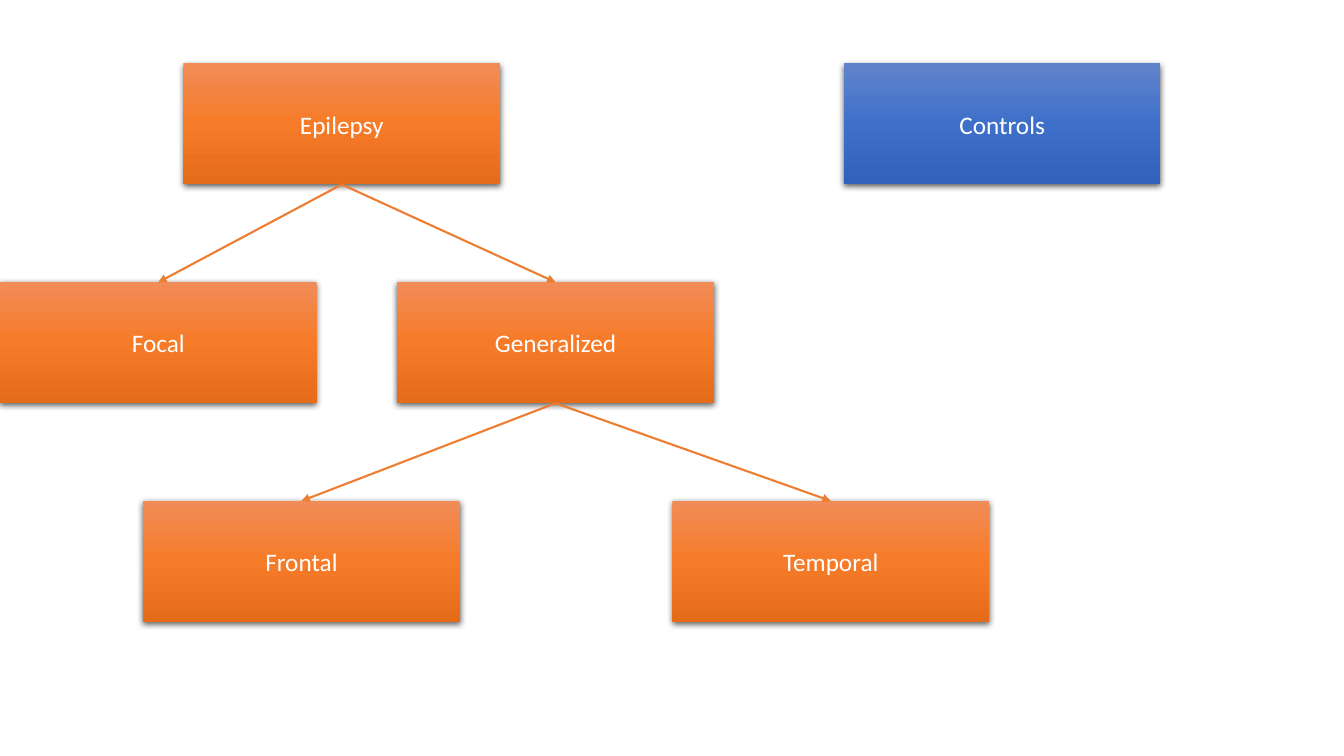
from lxml import etree
from pptx import Presentation
from pptx.dml.color import RGBColor
from pptx.enum.shapes import MSO_CONNECTOR, MSO_SHAPE
from pptx.enum.text import MSO_ANCHOR, PP_ALIGN
from pptx.oxml import parse_xml
from pptx.oxml.ns import nsdecls, qn
from pptx.util import Inches, Pt

RECTANGLE = MSO_SHAPE.RECTANGLE
STRAIGHT = MSO_CONNECTOR.STRAIGHT
MIDDLE = MSO_ANCHOR.MIDDLE
CENTER = PP_ALIGN.CENTER

COLORS = {"text": "FFFFFF", "arrow": "ED7D31", "shadow": "000000"}
GRADIENTS = {
    "orange": ("F18C57", "F67B28", "E56C19"),
    "blue": ("6183CB", "3E70CA", "3062BB"),
}
GROUPS = [
    ("Epilepsy", 1.82, 0, "orange"),
    ("Controls", 8.37, 0, "blue"),
    ("Focal", 0, 1, "orange"),
    ("Generalized", 3.94, 1, "orange"),
    ("Frontal", 1.42, 2, "orange"),
    ("Temporal", 6.67, 2, "orange"),
]
BRANCHES = {
    "Epilepsy": ["Focal", "Generalized"],
    "Generalized": ["Frontal", "Temporal"],
}
BOX_WIDTH, BOX_HEIGHT = 3.14, 1.2
FIRST_TOP, ROW_STEP = 0.63, 2.17
TOP_SITE, BOTTOM_SITE = 0, 2


def write_text(box, text, size=18, font="Calibri", color="text"):
    frame = box.text_frame
    frame.word_wrap = True
    frame.vertical_anchor = MIDDLE
    para = frame.paragraphs[0]
    para.alignment = CENTER
    span = para.add_run()
    span.text = text
    span.font.size = Pt(size)
    span.font.name = font
    span.font.color.rgb = RGBColor.from_string(COLORS[color])


def fill_gradient(box, colors):
    stops = "".join(
        f'<a:gs pos="{index * 50000}"><a:srgbClr val="{color}"/></a:gs>'
        for index, color in enumerate(colors)
    )
    gradient = parse_xml(
        f'<a:gradFill {nsdecls("a")} rotWithShape="1"><a:gsLst>{stops}</a:gsLst>'
        '<a:lin ang="5400000" scaled="0"/></a:gradFill>'
    )
    box.line.fill.background()
    box.element.spPr.find(qn("a:ln")).addprevious(gradient)


def add_shadow(box):
    box.shadow.inherit = False
    box.element.spPr.find(qn("a:effectLst")).append(parse_xml(
        f'<a:outerShdw {nsdecls("a")} blurRad="{Pt(4.5)}" dist="{Pt(1.5)}" '
        'dir="5400000" algn="ctr" rotWithShape="0">'
        f'<a:srgbClr val="{COLORS["shadow"]}"><a:alpha val="63000"/></a:srgbClr>'
        '</a:outerShdw>'
    ))


def add_box(page, text, left, row, gradient):
    box = page.shapes.add_shape(
        RECTANGLE, Inches(left), Inches(FIRST_TOP + row * ROW_STEP),
        Inches(BOX_WIDTH), Inches(BOX_HEIGHT),
    )
    fill_gradient(box, GRADIENTS[gradient])
    add_shadow(box)
    write_text(box, text)
    return box


def add_arrow(page, parent, child):
    arrow = page.shapes.add_connector(
        STRAIGHT, parent.left + parent.width // 2, parent.top + parent.height,
        child.left + child.width // 2, child.top,
    )
    arrow.begin_connect(parent, BOTTOM_SITE)
    arrow.end_connect(child, TOP_SITE)
    arrow.line.color.rgb = RGBColor.from_string(COLORS["arrow"])
    arrow.line.width = Pt(1.5)
    properties = arrow.element.spPr
    etree.SubElement(properties.find(qn("a:ln")), qn("a:tailEnd"), type="triangle")
    etree.SubElement(properties, qn("a:effectLst"))


def main():
    deck = Presentation()
    deck.slide_width, deck.slide_height = Inches(13.33), Inches(7.5)
    page = deck.slides.add_slide(deck.slide_layouts[6])
    boxes = {group[0]: add_box(page, *group) for group in GROUPS}
    for parent, children in BRANCHES.items():
        for child in children:
            add_arrow(page, boxes[parent], boxes[child])
    deck.save("out.pptx")


if __name__ == "__main__":
    main()
